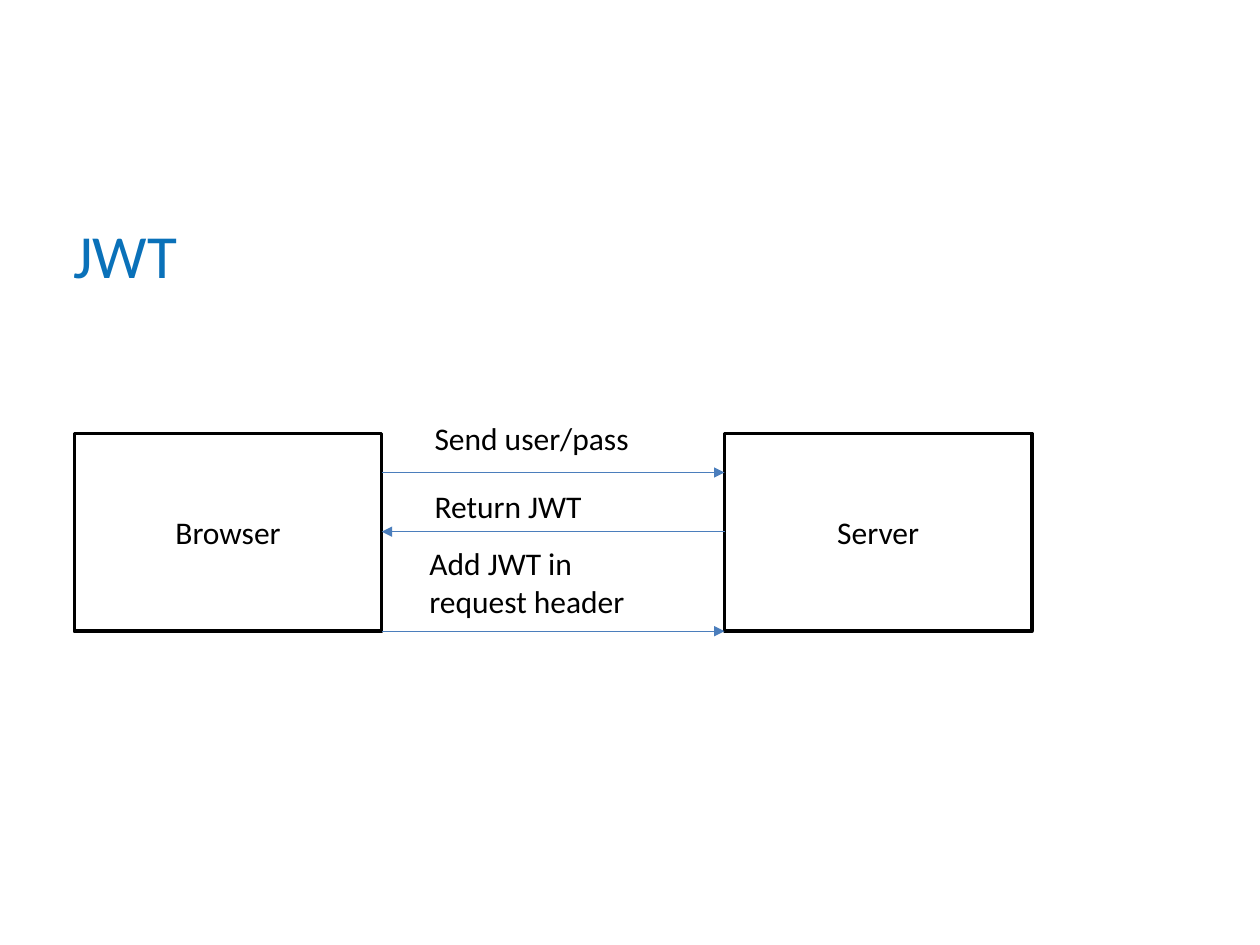
from dataclasses import dataclass

from lxml.etree import SubElement
from pptx import Presentation
from pptx.dml.color import RGBColor
from pptx.enum.shapes import MSO_CONNECTOR, MSO_SHAPE
from pptx.enum.text import MSO_ANCHOR, PP_ALIGN
from pptx.oxml.ns import qn
from pptx.util import Inches, Pt

BLACK = "000000"
BOX_TOP, BOX_WIDTH, BOX_HEIGHT = 3.44, 2.44, 1.57
BROWSER_LEFT, SERVER_LEFT = 0.59, 5.75
BROWSER_RIGHT = BROWSER_LEFT + BOX_WIDTH


@dataclass
class Party:
    name: str
    left: float


@dataclass
class Message:
    text: str
    left: float
    top: float
    width: float
    height: float
    arrow_y: float
    to_server: bool = True


PARTIES = [Party("Browser", BROWSER_LEFT), Party("Server", SERVER_LEFT)]
MESSAGES = [
    Message("Send user/pass", 3.35, 3.28, 1.89, 0.4, 3.75),
    Message("Return JWT", 3.35, 3.82, 1.89, 0.4, 4.22, to_server=False),
    Message("Add JWT in request header", 3.31, 4.27, 1.97, 0.71, BOX_TOP + BOX_HEIGHT),
]


def color(value: str) -> RGBColor:
    return RGBColor.from_string(value)


def write_text(shape, text: str, *, size: float = 18, ink: str = BLACK,
               align=PP_ALIGN.LEFT, anchor=MSO_ANCHOR.TOP) -> None:
    frame = shape.text_frame
    frame.word_wrap = True
    frame.vertical_anchor = anchor
    paragraph = frame.paragraphs[0]
    paragraph.alignment = align
    run = paragraph.add_run()
    run.text = text
    run.font.name = "Calibri"
    run.font.size = Pt(size)
    run.font.color.rgb = color(ink)


def draw_title(slide, text: str) -> None:
    title = slide.shapes.title
    title.left, title.top = Inches(0.48), Inches(1.11)
    title.width, title.height = Inches(9), Inches(1.25)
    write_text(title, text, size=35, ink="0A71B9", anchor=MSO_ANCHOR.BOTTOM)


def draw_party(slide, party: Party) -> None:
    box = slide.shapes.add_shape(
        MSO_SHAPE.RECTANGLE, Inches(party.left), Inches(BOX_TOP),
        Inches(BOX_WIDTH), Inches(BOX_HEIGHT))
    box.shadow.inherit = False
    box.fill.solid()
    box.fill.fore_color.rgb = color("FFFFFF")
    box.line.color.rgb = color(BLACK)
    box.line.width = Pt(2)
    write_text(box, party.name, align=PP_ALIGN.CENTER, anchor=MSO_ANCHOR.MIDDLE)


def draw_message(slide, message: Message) -> None:
    label = slide.shapes.add_textbox(
        Inches(message.left), Inches(message.top),
        Inches(message.width), Inches(message.height))
    write_text(label, message.text)
    start, end = BROWSER_RIGHT, SERVER_LEFT
    if not message.to_server:
        start, end = end, start
    arrow = slide.shapes.add_connector(
        MSO_CONNECTOR.STRAIGHT, Inches(start), Inches(message.arrow_y),
        Inches(end), Inches(message.arrow_y))
    arrow.line.color.rgb = color("4B7EBC")
    arrow.line.width = Pt(0.75)
    properties = arrow._element.spPr
    SubElement(properties.find(qn("a:ln")), qn("a:tailEnd"), type="triangle")
    SubElement(properties, qn("a:effectLst"))


def main() -> None:
    presentation = Presentation()
    presentation.slide_width = Inches(10)
    presentation.slide_height = Inches(7.5)
    slide = presentation.slides.add_slide(presentation.slide_layouts[5])
    draw_title(slide, "JWT")
    for party in PARTIES:
        draw_party(slide, party)
    for message in MESSAGES:
        draw_message(slide, message)
    presentation.save("out.pptx")


main()
